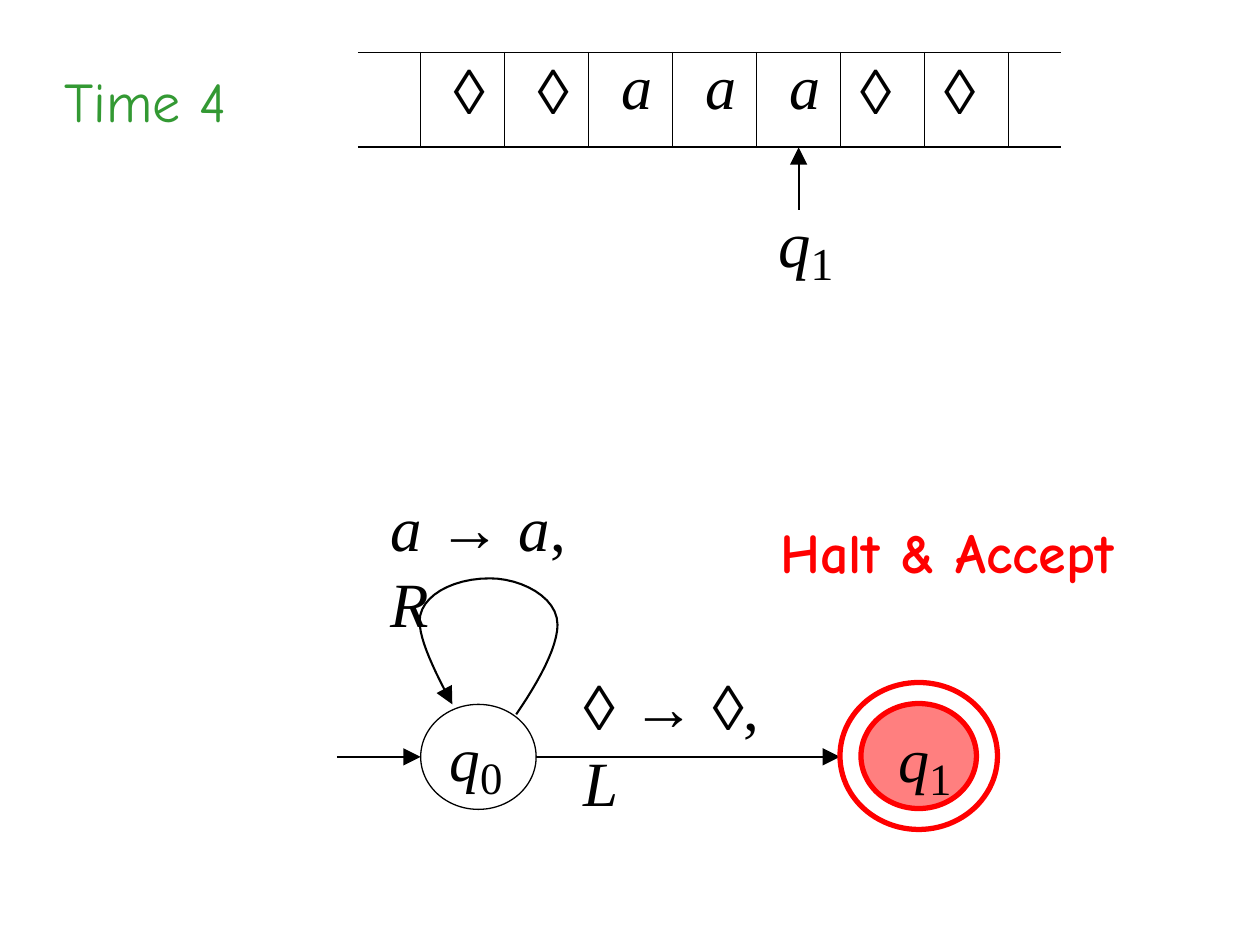
"""Build the Turing machine slide at time 4, halting in the accepting state."""
from lxml.etree import SubElement
from pptx import Presentation
from pptx.dml.color import RGBColor
from pptx.enum.shapes import MSO_CONNECTOR, MSO_SHAPE
from pptx.oxml import parse_xml
from pptx.oxml.ns import nsdecls, qn
from pptx.util import Pt

COLORS = {"ink": "000000", "time": "339933", "accept": "FF0000"}
SERIF, SANS, HAND = "Times New Roman", "Arial", "Comic Neue"


def rgb(name):
    return RGBColor.from_string(COLORS[name])


def style_font(font, size, name, color="ink", italic=False, bold=False):
    font.size, font.name, font.italic, font.bold = Pt(size), name, italic, bold
    font.color.rgb = rgb(color)


def indent_paragraph(paragraph, indent, space_before):
    paragraph._p.get_or_add_pPr().set("marL", str(Pt(indent)))
    paragraph.space_before = Pt(space_before)


def add_text_box(slide, left, top, width, height, indent=0.9, space_before=1.2):
    frame = slide.shapes.add_textbox(Pt(left), Pt(top), Pt(width), Pt(height)).text_frame
    frame.word_wrap = True
    frame.margin_left = frame.margin_right = frame.margin_bottom = 0
    frame.margin_top = Pt(1.2)
    paragraph = frame.paragraphs[0]
    indent_paragraph(paragraph, indent, space_before)
    return paragraph


def add_caption(slide, text, left, top, width, color, bold=False):
    paragraph = add_text_box(slide, left, top, width, 41)
    paragraph.add_run().text = text
    style_font(paragraph.font, 32, HAND, color, bold=bold)


def add_state_name(slide, index, left, top, size, index_size):
    paragraph = add_text_box(slide, left, top, 38, 45, indent=2.7)
    letter, subscript = paragraph.add_run(), paragraph.add_run()
    letter.text, subscript.text = "q", index
    style_font(letter.font, size, SERIF, italic=True)
    style_font(subscript.font, index_size, SERIF)
    subscript._r.get_or_add_rPr().set("baseline", "-17500")


def add_transition(slide, parts, left, top, width):
    paragraph = add_text_box(slide, left, top, width, 45.4)
    for text, name, italic in parts:
        run = paragraph.add_run()
        run.text = text
        style_font(run.font, 36, name, italic=italic)


def set_borders(cell, visible):
    properties = cell._tc.get_or_add_tcPr()
    for position, side in enumerate("LRTB"):
        paint = (f'<a:solidFill><a:srgbClr val="{COLORS["ink"]}"/></a:solidFill>'
                 if side in visible else "<a:noFill/>")
        properties.insert(position, parse_xml(
            f'<a:ln{side} {nsdecls("a")} w="{Pt(0.75)}">{paint}</a:ln{side}>'))


def add_tape(slide, symbols, left, top, height):
    widths = [36] + [48] * len(symbols) + [30]
    table = slide.shapes.add_table(1, len(widths), Pt(left), Pt(top),
                                   Pt(sum(widths)), Pt(height)).table
    table.first_row = table.horz_banding = False
    table.rows[0].height = Pt(height)
    last = len(widths) - 1
    for column, (width, symbol) in enumerate(zip(widths, ["", *symbols, ""])):
        table.columns[column].width = Pt(width)
        cell = table.cell(0, column)
        cell.fill.background()
        set_borders(cell, {0: "RTB", last: "LTB"}.get(column, "LRTB"))
        cell.margin_left = cell.margin_right = cell.margin_bottom = 0
        if symbol:
            blank = symbol == "◊"
            cell.margin_top = Pt(3 if blank else 0.9)
            paragraph = cell.text_frame.paragraphs[0]
            paragraph.add_run().text = symbol
            indent_paragraph(paragraph, 11 if column > 5 else 18.7, 3 if blank else 0.9)
            style_font(paragraph.font, 36 if blank else 35.5,
                       SANS if blank else SERIF, italic=not blank)


def add_arrowhead(line):
    head = SubElement(line._get_or_add_ln(), qn("a:tailEnd"))
    for key, value in (("type", "triangle"), ("w", "lg"), ("len", "lg")):
        head.set(key, value)


def style_line(line, width, color="ink"):
    line.width = Pt(width)
    line.color.rgb = rgb(color)


def add_arrow(slide, start, end):
    arrow = slide.shapes.add_connector(MSO_CONNECTOR.STRAIGHT, *map(Pt, (*start, *end)))
    style_line(arrow.line, 1.2)
    add_arrowhead(arrow.line)
    SubElement(arrow._element.spPr, qn("a:effectLst"))


def add_ellipse(slide, center, width, height, color, line_width, opacity=0):
    x, y = center
    ellipse = slide.shapes.add_shape(MSO_SHAPE.OVAL, Pt(x - width / 2), Pt(y - height / 2),
                                     Pt(width), Pt(height))
    ellipse.shadow.inherit = False
    style_line(ellipse.line, line_width, color)
    if opacity:
        ellipse.fill.solid()
        ellipse.fill.fore_color.rgb = rgb(color)
        fill_color = ellipse._element.spPr.find(qn("a:solidFill"))[0]
        SubElement(fill_color, qn("a:alpha")).set("val", str(opacity * 1000))
    else:
        ellipse.fill.background()


def bezier_point(points, t):
    weights = ((1 - t) ** 3, 3 * t * (1 - t) ** 2, 3 * t * t * (1 - t), t ** 3)
    return tuple(Pt(sum(w * point[axis] for w, point in zip(weights, points)))
                 for axis in (0, 1))


def add_loop_arrow(slide, knots, steps=12):
    vertices = [bezier_point(knots[first:first + 4], step / steps)
                for first in range(0, len(knots) - 1, 3)
                for step in range(1, steps + 1)]
    builder = slide.shapes.build_freeform(*map(Pt, knots[0]))
    builder.add_line_segments(vertices, close=False)
    loop = builder.convert_to_shape()
    loop.shadow.inherit = False
    loop.fill.background()
    style_line(loop.line, 1.2)
    add_arrowhead(loop.line)


def main():
    presentation = Presentation()
    presentation.slide_width, presentation.slide_height = Pt(720), Pt(540)
    slide = presentation.slides.add_slide(presentation.slide_layouts[6])

    add_caption(slide, "Time 4", 36, 36.7, 104.4, "time")
    add_tape(slide, "◊◊aaa◊◊", 204.5, 30, 54)
    add_arrow(slide, (456.4, 120), (456.4, 84.2))
    add_state_name(slide, "1", 442, 106.6, 37, 45)

    start, accept = (273.4, 432.5), (525, 432)
    add_ellipse(slide, start, 66, 60, "ink", 0.75)
    add_state_name(slide, "0", 254.2, 401, 35, 44.2)
    add_loop_arrow(slide, [(295, 408.2), (307.5, 390), (318.6, 370), (318.6, 357),
                           (318.6, 341), (297.5, 330.5), (280, 330.5),
                           (258, 330.5), (239.8, 341), (239.8, 355),
                           (239.8, 366), (248.5, 384), (258.5, 402.5)])
    add_arrow(slide, (192.5, 432.5), (240.4, 432.5))
    add_arrow(slide, (306.4, 432.5), (480, 432.5))
    add_ellipse(slide, accept, 66, 60, "accept", 3, opacity=50)
    add_ellipse(slide, accept, 90, 84, "accept", 3)
    add_transition(slide, [("a ", SERIF, True), ("→ ", SANS, False), ("a", SERIF, True),
                           (", ", SERIF, False), ("R", SERIF, True)], 222.5, 278, 126)
    add_transition(slide, [("◊ → ◊", SANS, False), (", ", SERIF, False),
                           ("L", SERIF, True)], 332.6, 380.2, 121.7)
    add_state_name(slide, "1", 510.5, 401.8, 35.5, 44.2)
    add_caption(slide, "Halt & Accept", 445, 294.5, 224, "accept", bold=True)

    presentation.save("out.pptx")


if __name__ == "__main__":
    main()
